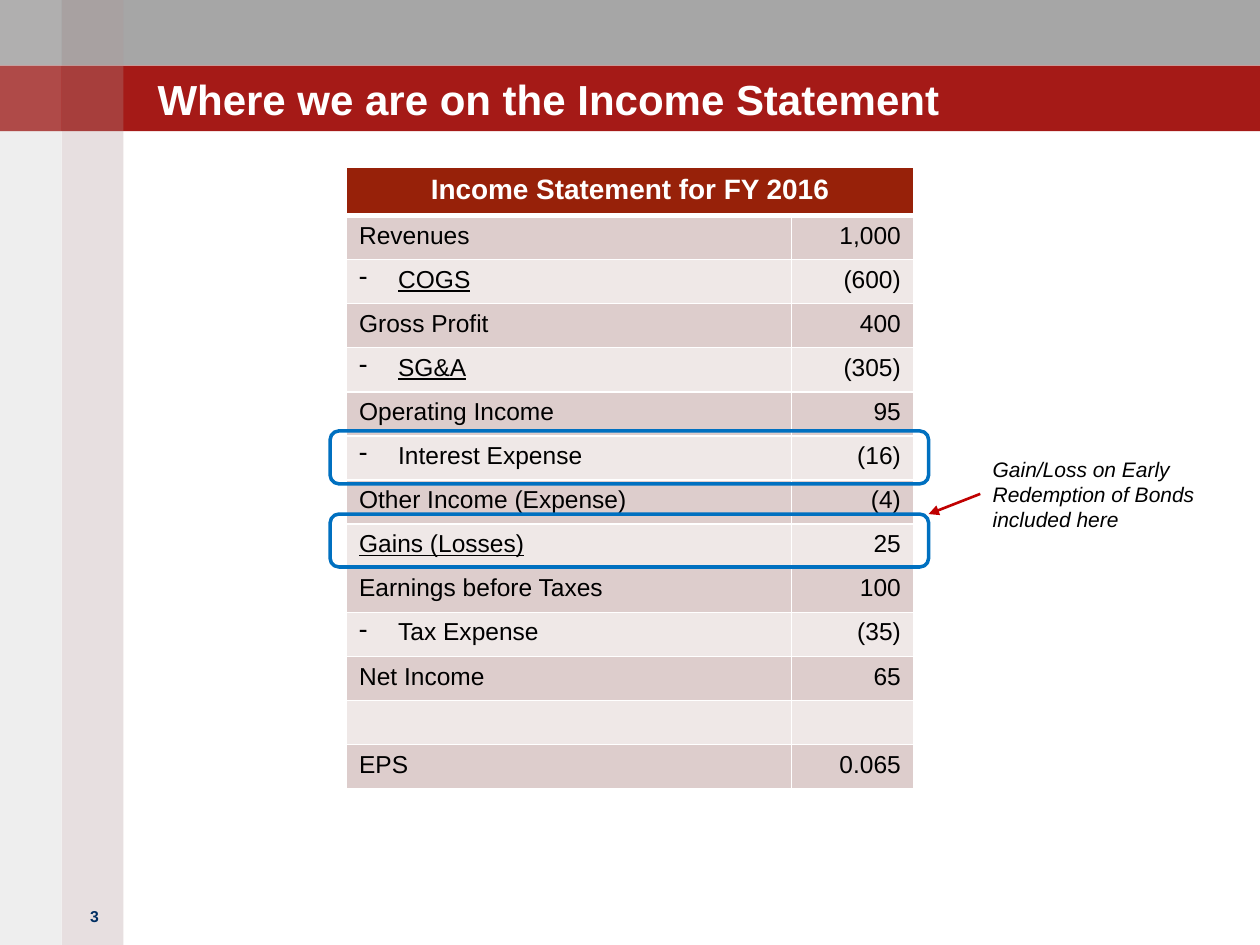
from lxml.etree import SubElement
from pptx import Presentation
from pptx.dml.color import RGBColor
from pptx.enum.shapes import MSO_CONNECTOR, MSO_SHAPE
from pptx.enum.text import MSO_ANCHOR, PP_ALIGN
from pptx.oxml.ns import qn
from pptx.util import Inches, Pt

WHITE = RGBColor(0xFF, 0xFF, 0xFF)
BLACK = RGBColor(0x00, 0x00, 0x00)
GRAY = RGBColor(0xA6, 0xA6, 0xA6)
RED = RGBColor(0xA5, 0x1A, 0x17)
ROSE = RGBColor(0xA0, 0x82, 0x84)
STONE = RGBColor(0x93, 0x8F, 0x8F)
HEADER_RED = RGBColor(0x97, 0x21, 0x09)
DARK_ROW = RGBColor(0xDD, 0xCD, 0xCC)
LIGHT_ROW = RGBColor(0xEF, 0xE8, 0xE7)
BLUE = RGBColor(0x00, 0x70, 0xC0)
ARROW_RED = RGBColor(0xC0, 0x00, 0x00)
NAVY = RGBColor(0x00, 0x2E, 0x62)

BAND = 0.52
STRIP = 0.49
TABLE_LEFT, TABLE_TOP = 2.75, 1.33
COLUMN_WIDTHS = (3.53, 0.97)
HEADER_HEIGHT, ROW_HEIGHT = 0.38, 0.35
DEDUCTIONS = {"COGS", "SG&A", "Interest Expense", "Tax Expense"}
UNDERLINED = {"COGS", "SG&A", "Gains (Losses)"}
STATEMENT = [
    ("Revenues", "1,000"),
    ("COGS", "(600)"),
    ("Gross Profit", "400"),
    ("SG&A", "(305)"),
    ("Operating Income", "95"),
    ("Interest Expense", "(16)"),
    ("Other Income (Expense)", "(4)"),
    ("Gains (Losses)", "25"),
    ("Earnings before Taxes", "100"),
    ("Tax Expense", "(35)"),
    ("Net Income", "65"),
    ("", ""),
    ("EPS", "0.065"),
]


def write_text(frame, text, size=14, color=BLACK, bold=False, italic=False,
               underline=False, align=PP_ALIGN.LEFT, dash=False):
    para = frame.paragraphs[0]
    para.alignment = align
    if text:
        span = para.add_run()
        span.text = text
        font = span.font
        font.name = "Arial"
        font.size = Pt(size)
        font.color.rgb = color
        font.bold, font.italic, font.underline = bold, italic, underline
    else:
        SubElement(para._p, qn("a:endParaRPr"), sz=str(size * 100))
    if dash:
        properties = para._p.get_or_add_pPr()
        properties.set("marL", str(Inches(0.31)))
        properties.set("indent", str(Inches(-0.31)))
        SubElement(properties, qn("a:buFontTx"))
        SubElement(properties, qn("a:buChar"), char="-")


def add_box(page, kind, left, top, width, height, fill=None, alpha=100, line=None):
    box = page.shapes.add_shape(kind, *map(Inches, (left, top, width, height)))
    box.shadow.inherit = False
    if fill is None:
        box.fill.background()
    else:
        box.fill.solid()
        box.fill.fore_color.rgb = fill
        if alpha < 100:
            color = box._element.spPr.find(".//" + qn("a:srgbClr"))
            SubElement(color, qn("a:alpha"), val=str(alpha * 1000))
    if line is None:
        box.line.fill.background()
    else:
        box.line.color.rgb = line
        box.line.width = Pt(2)


def add_background(page):
    for row, color in enumerate((GRAY, RED)):
        add_box(page, MSO_SHAPE.RECTANGLE, 0, row * BAND, 10, BAND, color)
    strips = ((STRIP, ROSE, 25, 5), (0, STONE, 15, 15))
    for left, color, alpha, _ in strips:
        add_box(page, MSO_SHAPE.RECTANGLE, left, 0, STRIP, 7.5, color, alpha)
    for row in range(2):
        for left, _, _, alpha in strips:
            add_box(page, MSO_SHAPE.RECTANGLE, left, row * BAND, STRIP, BAND, WHITE, alpha)


def add_title(page, text):
    title = page.shapes.title
    title.left, title.top, title.width, title.height = map(Inches, (1.25, 0.31, 6.54, 0.67))
    frame = title.text_frame
    frame.margin_left = frame.margin_top = frame.margin_right = frame.margin_bottom = 0
    frame.vertical_anchor = MSO_ANCHOR.BOTTOM
    write_text(frame, text, size=24, color=WHITE, bold=True)
    page.shapes._spTree.append(title._element)


def add_label(page, left, top, width, height, text, **style):
    box = page.shapes.add_textbox(*map(Inches, (left, top, width, height)))
    box.text_frame.word_wrap = True
    write_text(box.text_frame, text, **style)


def style_cell(cell, fill, bottom=1):
    properties = cell._tc.get_or_add_tcPr()
    for side, width in (("L", 1), ("R", 1), ("T", 1), ("B", bottom)):
        border = SubElement(properties, qn("a:ln" + side), w=str(Pt(width)))
        solid = SubElement(border, qn("a:solidFill"))
        SubElement(solid, qn("a:srgbClr"), val=str(WHITE))
    cell.fill.solid()
    cell.fill.fore_color.rgb = fill


def add_statement(page):
    height = HEADER_HEIGHT + ROW_HEIGHT * len(STATEMENT)
    table = page.shapes.add_table(
        len(STATEMENT) + 1, 2, Inches(TABLE_LEFT), Inches(TABLE_TOP),
        Inches(sum(COLUMN_WIDTHS)), Inches(height)).table
    for column, width in zip(table.columns, COLUMN_WIDTHS):
        column.width = Inches(width)
    for index, row in enumerate(table.rows):
        row.height = Inches(ROW_HEIGHT if index else HEADER_HEIGHT)
    for column in range(2):
        style_cell(table.cell(0, column), HEADER_RED, bottom=3)
    header = table.cell(0, 0)
    header.merge(table.cell(0, 1))
    write_text(header.text_frame, "Income Statement for FY 2016", size=16,
               color=WHITE, bold=True, align=PP_ALIGN.CENTER)
    for index, (item, amount) in enumerate(STATEMENT, 1):
        item_cell, amount_cell = table.cell(index, 0), table.cell(index, 1)
        for cell in (item_cell, amount_cell):
            style_cell(cell, DARK_ROW if index % 2 else LIGHT_ROW)
        write_text(item_cell.text_frame, item, underline=item in UNDERLINED,
                   dash=item in DEDUCTIONS)
        write_text(amount_cell.text_frame, amount, align=PP_ALIGN.RIGHT)


def add_arrow(page, start, end):
    arrow = page.shapes.add_connector(MSO_CONNECTOR.STRAIGHT, *map(Inches, start + end))
    arrow.line.color.rgb = ARROW_RED
    arrow.line.width = Pt(1.5)
    SubElement(arrow.line._get_or_add_ln(), qn("a:tailEnd"), type="triangle")
    SubElement(arrow._element.spPr, qn("a:effectLst"))


def main():
    deck = Presentation()
    deck.slide_width, deck.slide_height = Inches(10), Inches(7.5)
    page = deck.slides.add_slide(deck.slide_layouts[5])
    add_background(page)
    add_statement(page)
    add_label(page, 0.5, 7.15, 0.5, 0.5, "3", size=9, color=NAVY, bold=True,
              align=PP_ALIGN.CENTER)
    add_title(page, "Where we are on the Income Statement")
    for top in (3.42, 4.08):
        add_box(page, MSO_SHAPE.ROUNDED_RECTANGLE, 2.62, top, 4.75, 0.42, line=BLUE)
    add_label(page, 7.78, 3.57, 1.81, 0.71,
              "Gain/Loss on Early Redemption of Bonds included here",
              size=12, italic=True)
    add_arrow(page, (7.78, 3.92), (7.37, 4.08))
    deck.save("out.pptx")


if __name__ == "__main__":
    main()
